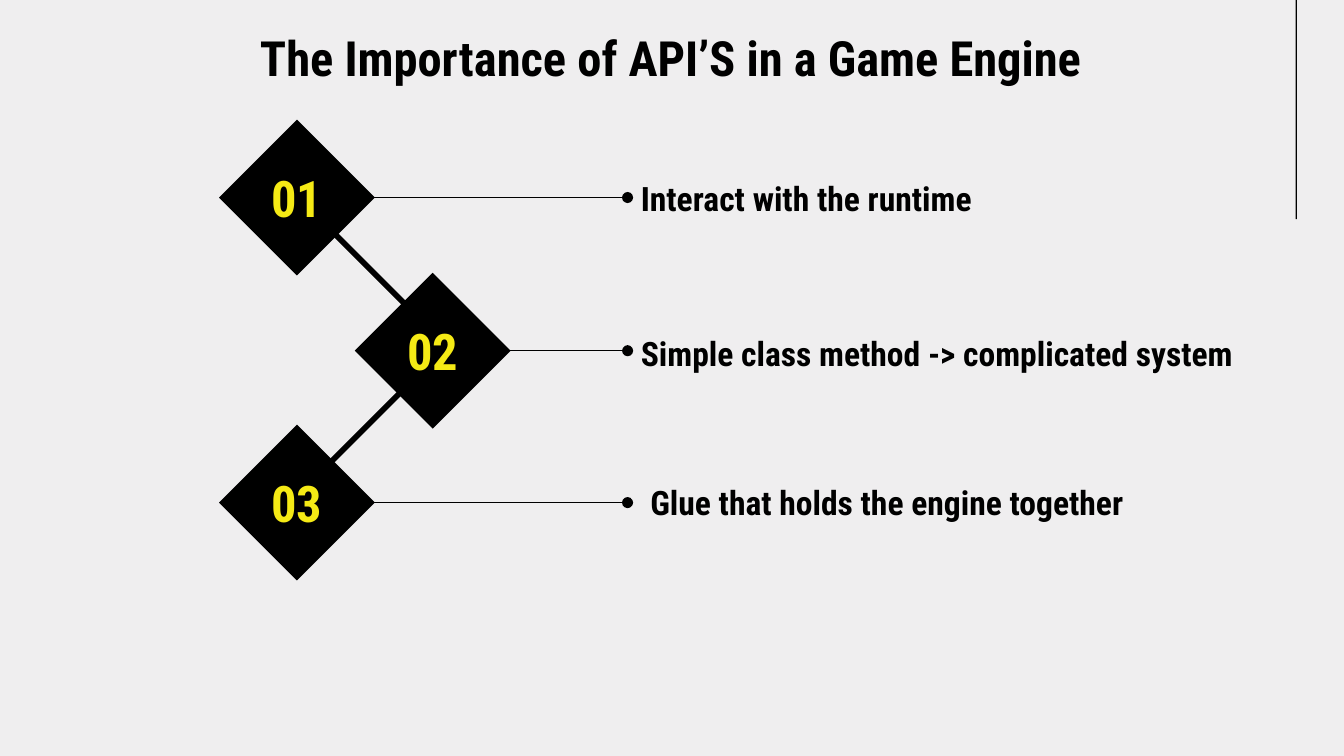
from lxml import etree
from pptx import Presentation
from pptx.dml.color import RGBColor
from pptx.enum.shapes import MSO_CONNECTOR, MSO_SHAPE
from pptx.enum.text import MSO_ANCHOR, PP_ALIGN
from pptx.oxml.ns import qn
from pptx.util import Inches, Pt

DIAMOND, RECTANGLE = MSO_SHAPE.DIAMOND, MSO_SHAPE.RECTANGLE
STRAIGHT, ELBOW = MSO_CONNECTOR.STRAIGHT, MSO_CONNECTOR.ELBOW
MIDDLE = MSO_ANCHOR.MIDDLE
LEFT, CENTER = PP_ALIGN.LEFT, PP_ALIGN.CENTER

FONT = "Roboto Condensed"
COLORS = {"background": "EFEEEF", "ink": "000000", "number": "F5EA15"}

# Content: number, label, diamond centre, label box (left, top, width, height)
TITLE = "The Importance of API’S in a Game Engine"
POINTS = [
    ("01", "Interact with the runtime", (2.21, 1.47), (4.67, 1.33, 3.27, 0.28)),
    ("02", "Simple class method -> complicated system", (3.22, 2.61),
     (4.67, 2.36, 4.7, 0.53)),
    ("03", "Glue that holds the engine together", (2.21, 3.74),
     (4.74, 3.47, 4.24, 0.53)),
]
DIAMOND_SIZE = 1.16
LEADER_END = 4.67
LEADER_OVERLAP = 0.05

# Diagonal links: start point and horizontal direction
LINKS = [((2.4, 1.65), 1), ((3, 2.9), -1)]
LINK_SPAN = 0.63

prs = Presentation()
prs.slide_width = Inches(10)
prs.slide_height = prs.slide_width * 9 // 16
slide = prs.slides.add_slide(prs.slide_layouts[6])


def color(name):
    return RGBColor.from_string(COLORS[name])


def write(shape, text, size, ink="ink", align=LEFT):
    frame = shape.text_frame
    frame.text = text
    frame.word_wrap = True
    frame.vertical_anchor = MIDDLE
    frame.margin_left = frame.margin_right = Inches(0.1)
    frame.margin_top = frame.margin_bottom = Inches(0.1)
    paragraph = frame.paragraphs[0]
    paragraph.alignment = align
    font = paragraph.runs[0].font
    font.name, font.size, font.bold = FONT, Pt(size), True
    font.color.rgb = color(ink)


def add_text(place, text, size, align=LEFT):
    box = slide.shapes.add_textbox(*(Inches(value) for value in place))
    write(box, text, size, align=align)


def add_solid(kind, place):
    solid = slide.shapes.add_shape(kind, *(Inches(value) for value in place))
    solid.shadow.inherit = False
    solid.fill.solid()
    solid.fill.fore_color.rgb = color("ink")
    solid.line.fill.background()
    return solid


def add_line(kind, start, end, weight):
    connector = slide.shapes.add_connector(
        kind, *(Inches(value) for value in (*start, *end)))
    connector.line.color.rgb = color("ink")
    connector.line.width = Pt(weight)
    etree.SubElement(connector._element.spPr, qn("a:effectLst"))
    return connector


# Background and corner rule
slide.background.fill.solid()
slide.background.fill.fore_color.rgb = color("background")
add_solid(RECTANGLE, (9.64, -0.01, 0.01, 1.64))

# Label texts
for _, label, _, label_box in POINTS:
    add_text(label_box, label, 18)

# Numbered diamonds
half = DIAMOND_SIZE / 2
for number, _, (x, y), _ in POINTS:
    diamond = add_solid(DIAMOND, (x - half, y - half, DIAMOND_SIZE, DIAMOND_SIZE))
    write(diamond, number, 27, "number", CENTER)

# Links between neighbouring diamonds
for (x, y), direction in LINKS:
    add_line(STRAIGHT, (x, y), (x + direction * LINK_SPAN, y + LINK_SPAN), 3)

# Leaders with a dot at the label end
for _, _, (x, y), _ in POINTS:
    leader = add_line(ELBOW, (LEADER_END, y), (x + half - LEADER_OVERLAP, y), 0.75)
    outline = leader._element.spPr.find(qn("a:ln"))
    etree.SubElement(outline, qn("a:headEnd"), type="oval", w="med", len="med")

# Title
add_text((1.55, -0.02, 6.89, 0.89), TITLE, 26, CENTER)

prs.save("out.pptx")
